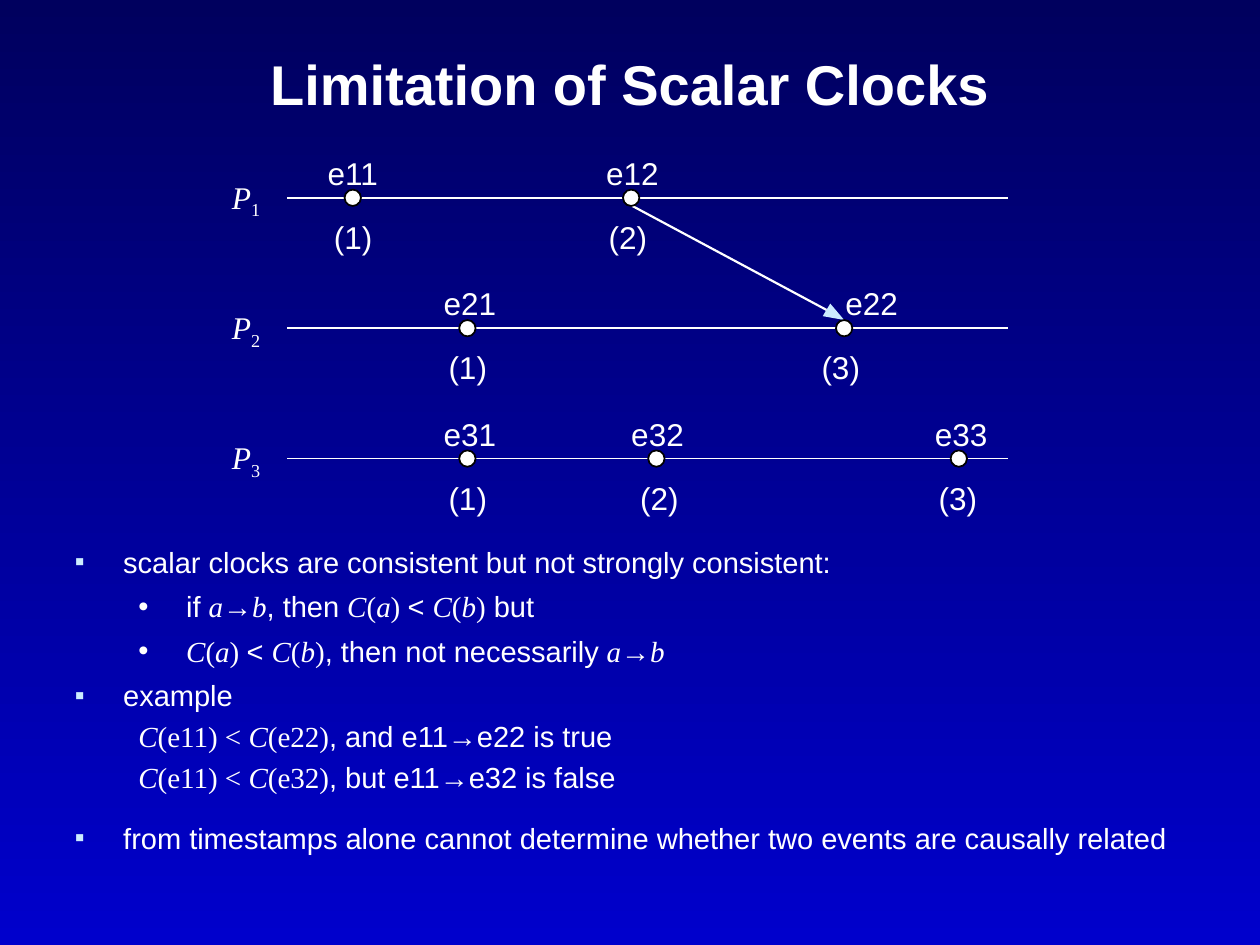
from lxml import etree
from pptx import Presentation
from pptx.dml.color import RGBColor
from pptx.enum import shapes, text
from pptx.oxml.ns import qn
from pptx.util import Inches, Pt


def tint(code):
    return RGBColor.from_string(code)


def write(par, words, size=18, face="Arial", bold=False, slant=False, base=0):
    run = par.add_run()
    run.text = words
    font = run.font
    font.size, font.name = Pt(size), face
    font.bold, font.italic = bold, slant
    font.color.rgb = tint("FFFFFF")
    if base:
        run._r.get_or_add_rPr().set("baseline", str(base * 1000))


deck = Presentation()
deck.slide_width, deck.slide_height = Inches(10), Inches(7.5)
slide = deck.slides.add_slide(deck.slide_layouts[5])
tree = slide.shapes

back = slide.background.fill
back.gradient()
back.gradient_angle = 270
for stop, place, code in zip(back.gradient_stops, (0, 1), ("00005E", "0000CC")):
    stop.position = place
    stop.color.rgb = tint(code)

title = tree.title
title.left, title.top = Inches(1.39), Inches(0.22)
title.width, title.height = Inches(7.22), Inches(0.95)
frame = title.text_frame
frame.auto_size = text.MSO_AUTO_SIZE.NONE
frame.vertical_anchor = text.MSO_ANCHOR.MIDDLE
par = frame.paragraphs[0]
par.alignment = text.PP_ALIGN.CENTER
par.line_spacing = 0.9
write(par, "Limitation of Scalar Clocks", size=32, bold=True)

A = {}
T = {"face": "Times New Roman"}
I = {"face": "Times New Roman", "slant": True}
less = [("C", I), ("(", T), ("a", I), (") ", T), ("< ", A),
        ("C", I), ("(", T), ("b", I), (")", T)]
leads = [("a", I), ("→", A), ("b", I)]
pair = [("C", I), ("(e11) < ", T), ("C", I)]
points = [
    ("■", 0, [("scalar clocks are consistent but not strongly consistent:", A)]),
    ("•", 5.5, [("if ", A), *leads, (", then ", A), *less, (" but", A)]),
    ("•", 5.5, [*less, (", then not necessarily ", A), *leads]),
    ("■", 5.5, [("example", A)]),
    ("", 5.5, [*pair, ("(e22)", T), (", and e11→e22 is true", A)]),
    ("", 5.5, [*pair, ("(e32)", T), (", but e11→e32 is false", A)]),
    ("■", 14.5, [("from timestamps alone cannot determine whether "
                  "two events are causally related", A)]),
]
looks = {"■": (0.38, -0.38, "CCECFF", 50), "•": (0.88, -0.38, "FFFFFF", 100),
         "": (0.5, 0, "", 0)}

frame = tree.add_textbox(Inches(0.5), Inches(4.27), Inches(9), Inches(2.93)).text_frame
frame.word_wrap = True
for num, (mark, gap, runs) in enumerate(points):
    par = frame.add_paragraph() if num else frame.paragraphs[0]
    left, hang, code, scale = looks[mark]
    par.space_before = Pt(gap)
    par.line_spacing = 1.0 if mark else 0.9
    props = par._p.get_or_add_pPr()
    props.set("marL", str(Inches(left)))
    props.set("indent", str(Inches(hang)))
    if mark:
        shade = etree.SubElement(props, qn("a:buClr"))
        etree.SubElement(shade, qn("a:srgbClr")).set("val", code)
        etree.SubElement(props, qn("a:buSzPct")).set("val", str(scale * 1000))
        etree.SubElement(props, qn("a:buFont")).set("typeface", "Arial")
        etree.SubElement(props, qn("a:buChar")).set("char", mark)
    else:
        etree.SubElement(props, qn("a:buNone"))
    for words, style in runs:
        write(par, words, size=16.6, **style)

rows = [
    [("e11", 2.6, 2.8, 1, 2.65), ("e12", 4.81, 5.01, 2, 4.83)],
    [("e21", 3.52, 3.71, 1, 3.56), ("e22", 6.71, 6.7, 3, 6.52)],
    [("e31", 3.52, 3.71, 1, 3.56), ("e32", 5.01, 5.21, 2, 5.08),
     ("e33", 7.42, 7.61, 3, 7.45)],
]
lines = [(2.28, 1.57 + 1.035 * num, 8, 1.57 + 1.035 * num, 1) for num in range(3)]
lines.append((5.01, 1.63, 6.56, 2.46, 1.25))
for x, y, end, low, wide in lines:
    line = tree.add_connector(shapes.MSO_CONNECTOR.STRAIGHT,
                              Inches(x), Inches(y), Inches(end), Inches(low))
    line.line.color.rgb = tint("FFFFFF")
    line.line.width = Pt(wide)
    etree.SubElement(line._element.spPr, qn("a:effectLst"))

pen = tree.build_freeform(Inches(6.53), Inches(2.51), scale=1.0)
pen.add_line_segments([(Inches(x), Inches(y)) for x, y in
                       ((6.56, 2.46), (6.59, 2.41), (6.7, 2.54))], close=True)
head = pen.convert_to_shape()
head.shadow.inherit = False
head.fill.solid()
head.fill.fore_color.rgb = tint("CCECFF")
head.line.fill.background()

for num, row in enumerate(rows):
    y = lines[num][1]
    tags = [(1.84, y - 0.16, 0.23, 0.34, [("P", I), (str(num + 1), {**T, "base": -25})])]
    for name, left, mid, clock, spot in row:
        dot = tree.add_shape(shapes.MSO_SHAPE.OVAL, Inches(mid - 0.065),
                             Inches(y - 0.065), Inches(0.13), Inches(0.13))
        dot.shadow.inherit = False
        dot.fill.solid()
        dot.fill.fore_color.rgb = tint("FFFFFF")
        dot.line.color.rgb = tint("000000")
        dot.line.width = Pt(1)
        tags.append((left, y - 0.35, 0.42, 0.3, [(name, A)]))
        tags.append((spot, y + 0.16, 0.31, 0.3, [(f"({clock})", A)]))
    for x, top, wide, high, runs in tags:
        frame = tree.add_textbox(Inches(x), Inches(top), Inches(wide), Inches(high)).text_frame
        frame.word_wrap = False
        frame.margin_left = frame.margin_right = frame.margin_top = frame.margin_bottom = 0
        for words, style in runs:
            write(frame.paragraphs[0], words, **style)

deck.save("out.pptx")
